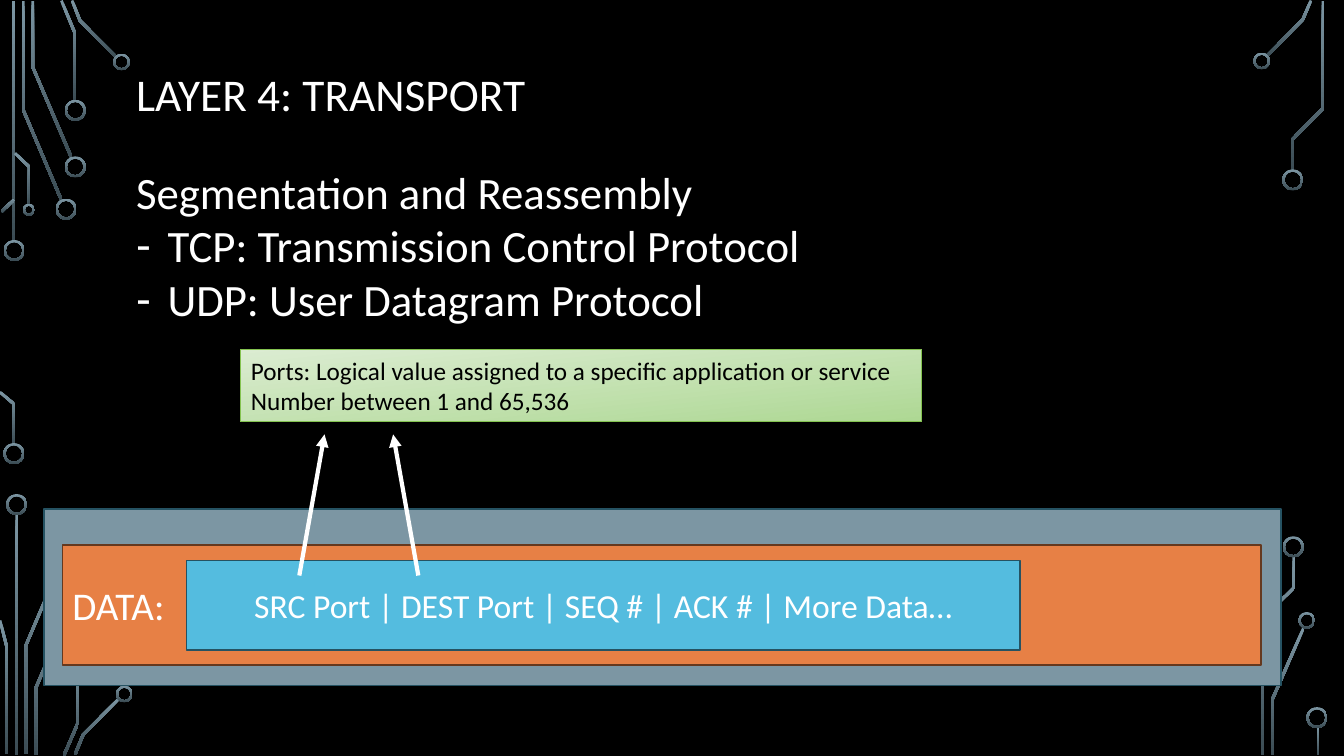
"""Build the slide on the transport layer with its segment diagram."""
from dataclasses import dataclass
from math import hypot

from lxml import etree
from pptx import Presentation
from pptx.dml.color import RGBColor
from pptx.enum.shapes import MSO_CONNECTOR, MSO_SHAPE
from pptx.enum.text import MSO_ANCHOR, MSO_AUTO_SIZE, PP_ALIGN
from pptx.oxml.ns import qn
from pptx.util import Pt

RECTANGLE, DONUT = MSO_SHAPE.RECTANGLE, MSO_SHAPE.DONUT
STRAIGHT = MSO_CONNECTOR.STRAIGHT
MIDDLE, TOP = MSO_ANCHOR.MIDDLE, MSO_ANCHOR.TOP
LEFT, CENTER = PP_ALIGN.LEFT, PP_ALIGN.CENTER
NO_AUTOFIT = MSO_AUTO_SIZE.NONE

FONT = "Calibri"
COLORS = {
    "black": "000000", "white": "FFFFFF",
    "slate": "7C96A3", "dark slate": "3B4C54", "slate edge": "255262",
    "orange": "E78045", "orange edge": "65381E", "sky": "54BCDF",
    "pale green": "DBECD1", "green": "AED894", "green edge": "84C350",
}
TRACE_FILL = ("slate", "dark slate")
TRACE_WIDTH = 2
RING_WIDTH = 1.5
DASH_INDENT = 22.5

Point = tuple[float, float]
Box = tuple[float, float, float, float]


@dataclass(frozen=True)
class Block:
    box: Box
    fill: tuple[str, ...]
    edge: str
    edge_width: float = 1.25
    lines: tuple[str, ...] = ()
    size: float = 18
    color: str = "white"
    align: PP_ALIGN = LEFT


@dataclass(frozen=True)
class Arrow:
    start: Point
    end: Point


TITLE = "LAYER 4: TRANSPORT"
TITLE_BOX = (90, 50.4, 780, 38.2)
PROTOCOLS = (
    "Segmentation and Reassembly",
    "TCP: Transmission Control Protocol",
    "UDP: User Datagram Protocol",
)
PROTOCOLS_BOX = (90, 113.8, 715.7, 123.8)
BLOCKS = (
    Block((31.7, 363.6, 883.4, 126), ("slate",), "slate edge"),
    Block((44.6, 389.5, 856.1, 85.7), ("orange",), "orange edge", lines=("DATA:",), size=28),
    Block((172.1, 249.8, 486, 51.1), ("pale green", "green"), "green edge", 0.75,
          ("Ports: Logical value assigned to a specific application or service",
           "Number between 1 and 65,536"), color="black"),
    Block((133.2, 400.3, 595.4, 64.1), ("sky",), "slate edge",
          lines=("SRC Port | DEST Port | SEQ # | ACK # | More Data…",), size=24, align=CENTER),
)
ARROWS = (
    Arrow((298.8, 411.1), (280.8, 310.3)),
    Arrow((213.8, 411.1), (231.8, 310.3)),
)
TRACES = (
    ((9.7, 0.7), (9.7, 172.5)),
    ((16.6, 0.7), (16.6, 78.5), (43.9, 143)),
    ((23.4, 0.7), (23.4, 47.9), (51.1, 112.7)),
    ((43.9, 0.4), (53.6, 23.8), (53.6, 72)),
    ((51.5, 0.4), (57.2, 14.8), (83.2, 41)),
    ((1.1, 151.2), (10.1, 142.6)),
    ((0, 280.1), (10.1, 288.7), (10.1, 317.5)),
    ((10.8, 109.4), (20.9, 119.2), (20.9, 146.2)),
    ((11.9, 367.2), (11.9, 539.3)),
    ((45.7, 397.1), (18.4, 461.2), (18.4, 538.6)),
    ((0, 443.2), (4.7, 461.5), (4.7, 538.6)),
    ((52.9, 427.3), (25.6, 491.4), (25.6, 539.3)),
    ((55.8, 468), (55.8, 516.2), (45.7, 539.6)),
    ((85, 499), (59.4, 524.9), (53.6, 538.9)),
    ((936.4, 0.4), (930.6, 14), (905, 40)),
    ((945, 0.7), (945, 77.4), (923, 99.7), (923, 121.7)),
    ((931, 448.9), (909, 499.3), (909, 539.3)),
    ((924.1, 397.4), (924.1, 420.1), (901.8, 441.7), (901.8, 539.3)),
    ((941.4, 519.1), (941.4, 539.3)),
)
RINGS = {
    15: ((10.1, 178.9), (9.9, 324), (47.2, 149.4), (53.8, 119.2), (53.8, 78.8),
         (11.9, 360.4), (923.4, 128.5), (923.8, 390.6), (940.7, 512.6)),
    12: ((86.8, 44.3), (88.8, 495.7), (901.2, 43.6), (933.4, 443.2)),
    8.6: ((20.6, 149.8),),
}


def rgb(name: str) -> RGBColor:
    """Look up a named colour."""
    return RGBColor.from_string(COLORS[name])


def assign(target, **values) -> None:
    """Set several attributes on one object."""
    for attribute, value in values.items():
        setattr(target, attribute, value)


def paint(shape, fill: tuple[str, ...], angle: float = 270) -> None:
    """Fill a shape with one colour or a gradient of two, without shadow."""
    shape.shadow.inherit = False
    if len(fill) == 1:
        shape.fill.solid()
        shape.fill.fore_color.rgb = rgb(fill[0])
        return
    shape.fill.gradient()
    shape.fill.gradient_angle = angle
    for position, (stop, name) in enumerate(zip(shape.fill.gradient_stops, fill)):
        stop.color.rgb = rgb(name)
        stop.position = position


def write(frame, lines: tuple[str, ...], size: float, color: str = "white",
          align: PP_ALIGN = LEFT, anchor: MSO_ANCHOR = MIDDLE, spacing: float = 1) -> None:
    """Put lines of text into a frame, one paragraph each."""
    assign(frame, word_wrap=True, auto_size=NO_AUTOFIT, vertical_anchor=anchor)
    frame.text = "\n".join(lines)
    for paragraph in frame.paragraphs:
        assign(paragraph, alignment=align, line_spacing=spacing,
               space_before=Pt(0), space_after=Pt(0))
        for run in paragraph.runs:
            assign(run.font, name=FONT, size=Pt(size))
            run.font.color.rgb = rgb(color)


def place(shape, box: Box) -> None:
    """Move and size a placeholder."""
    assign(shape, **dict(zip(("left", "top", "width", "height"), map(Pt, box))))


def set_bullet(paragraph, dash: bool) -> None:
    """Give a paragraph a hanging dash, or no bullet."""
    indent = Pt(DASH_INDENT) if dash else Pt(0)
    properties = paragraph._p.get_or_add_pPr()
    properties.set("marL", str(indent))
    properties.set("indent", str(-indent))
    bullet = etree.SubElement(properties, qn("a:buChar" if dash else "a:buNone"))
    if dash:
        bullet.set("char", "-")


def trace_side(points: tuple[Point, ...], offset: float) -> list[Point]:
    """Shift a polyline sideways with mitred corners."""
    normals = []
    for (x1, y1), (x2, y2) in zip(points, points[1:]):
        length = hypot(x2 - x1, y2 - y1)
        normals.append(((y1 - y2) / length, (x2 - x1) / length))
    side = []
    for (x, y), (ax, ay), (bx, by) in zip(points, normals[:1] + normals, normals + normals[-1:]):
        reach = offset / (1 + ax * bx + ay * by)
        side.append((x + (ax + bx) * reach, y + (ay + by) * reach))
    return side


def draw_trace(shapes, points: tuple[Point, ...]) -> None:
    """Draw one circuit trace as a thin outline."""
    half = TRACE_WIDTH / 2
    outline = trace_side(points, half) + trace_side(points, -half)[::-1]
    corners = [(Pt(x), Pt(y)) for x, y in outline]
    builder = shapes.build_freeform(*corners[0])
    builder.add_line_segments(corners[1:], close=True)
    trace = builder.convert_to_shape()
    paint(trace, TRACE_FILL)
    trace.line.fill.background()


def draw_ring(shapes, center: Point, diameter: float) -> None:
    """Draw the ring that ends a circuit trace."""
    left, top = (Pt(value - diameter / 2) for value in center)
    ring = shapes.add_shape(DONUT, left, top, Pt(diameter), Pt(diameter))
    ring.adjustments[0] = RING_WIDTH / diameter
    paint(ring, TRACE_FILL)
    ring.line.fill.background()


def draw_block(shapes, block: Block) -> None:
    """Draw one rectangle of the diagram."""
    panel = shapes.add_shape(RECTANGLE, *map(Pt, block.box))
    paint(panel, block.fill, 276)
    panel.line.color.rgb = rgb(block.edge)
    panel.line.width = Pt(block.edge_width)
    if block.lines:
        write(panel.text_frame, block.lines, block.size, block.color, block.align)


def draw_arrow(shapes, arrow: Arrow) -> None:
    """Draw an arrow from a port field to its explanation."""
    pointer = shapes.add_connector(STRAIGHT, *map(Pt, arrow.start + arrow.end))
    pointer.line.color.rgb = rgb("white")
    pointer.line.width = Pt(3)
    etree.SubElement(pointer.line._get_or_add_ln(), qn("a:tailEnd")).set("type", "triangle")
    etree.SubElement(pointer._element.spPr, qn("a:effectLst"))


def main() -> None:
    """Build and save the slide."""
    deck = Presentation()
    assign(deck, slide_width=Pt(960), slide_height=Pt(540))
    slide = deck.slides.add_slide(deck.slide_layouts[1])
    slide.background.fill.solid()
    slide.background.fill.fore_color.rgb = rgb("black")
    title, protocols = slide.placeholders
    place(title, TITLE_BOX)
    write(title.text_frame, (TITLE,), 32.4, spacing=0.9)
    place(protocols, PROTOCOLS_BOX)
    write(protocols.text_frame, PROTOCOLS, 32, anchor=TOP)
    for number, paragraph in enumerate(protocols.text_frame.paragraphs):
        set_bullet(paragraph, dash=number > 0)
    for points in TRACES:
        draw_trace(slide.shapes, points)
    for diameter, centers in RINGS.items():
        for center in centers:
            draw_ring(slide.shapes, center, diameter)
    for block in BLOCKS:
        draw_block(slide.shapes, block)
    for arrow in ARROWS:
        draw_arrow(slide.shapes, arrow)
    deck.save("out.pptx")


if __name__ == "__main__":
    main()
